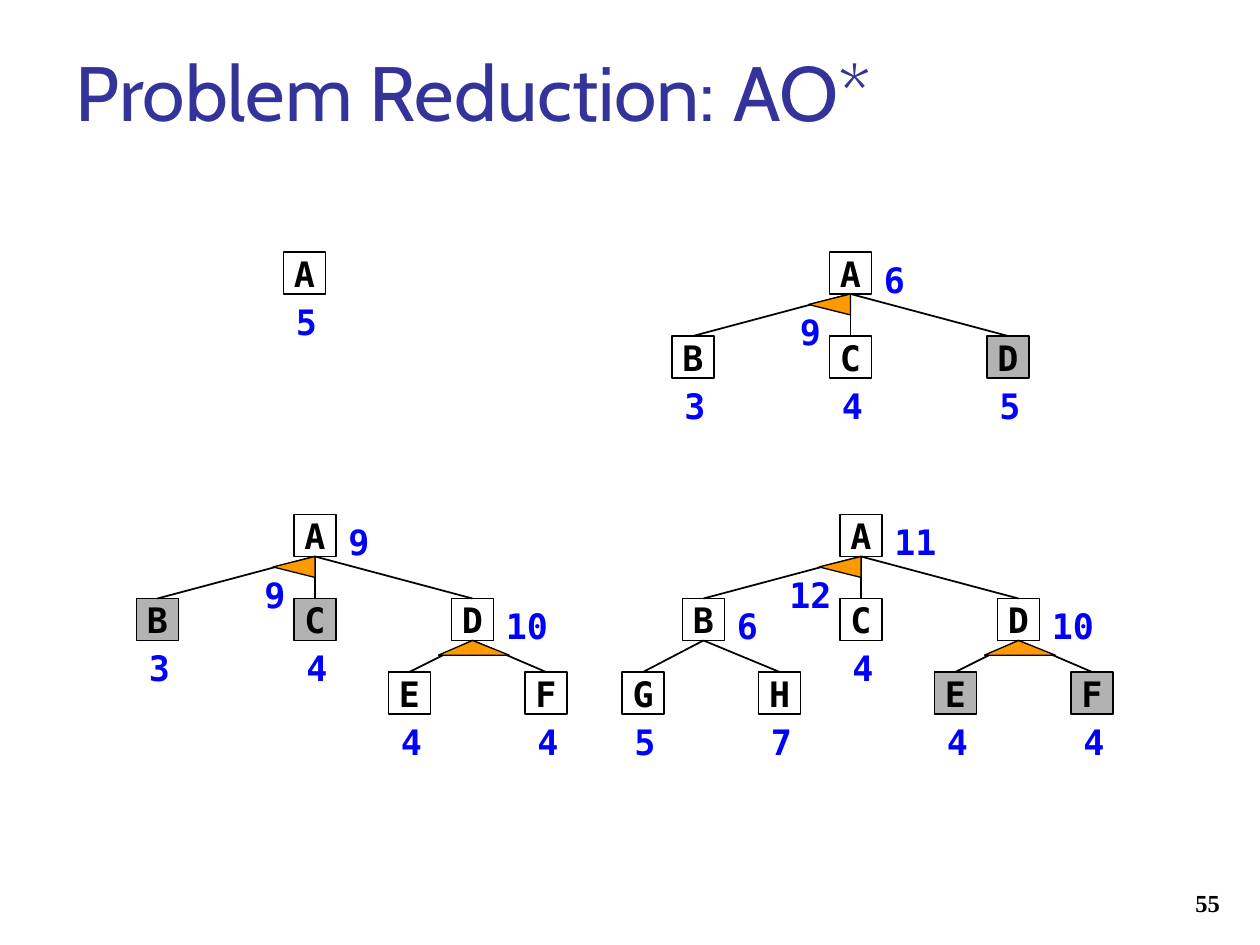
import pptx
import pptx.util
import pptx.dml.color
import pptx.enum.shapes
import pptx.enum.text
import pptx.oxml.ns
from lxml import etree

MONO = "DejaVu Sans Mono"
BLACK, BLUE, GRAY, ORANGE = "000000", "0000FF", "B2B2B2", "FF9900"
SIZE = 4  # side of a node; tree lengths are in twelfths of an inch

# Child offsets from the parent node, and arc corners from its bottom middle
OFFSETS = {"B": (-15, 8), "C": (0, 8), "D": (15, 8), "E": (-6, 7),
           "F": (7, 7), "G": (-5.75, 7), "H": (7.25, 7)}
ARCS = {"A": [(0, 0), (-4, 1), (0, 2)],
        "D": [(-3.25, 1.4), (3.5, 1.4), (0, 0)]}


def node(name, cost, *children, gray=False, arc=False, arc_cost=None):
    return dict(name=name, cost=cost, children=children, gray=gray,
                arc=arc, arc_cost=arc_cost)


TREES = [
    (27, 24, node("A", "5")),
    (79, 24, node("A", "6", node("B", "3"), node("C", "4"),
                  node("D", "5", gray=True), arc=True, arc_cost="9")),
    (28, 49, node("A", "9", node("B", "3", gray=True),
                  node("C", "4", gray=True),
                  node("D", "10", node("E", "4"), node("F", "4"), arc=True),
                  arc=True, arc_cost="9")),
    (80, 49, node("A", "11",
                  node("B", "6", node("G", "5"), node("H", "7")),
                  node("C", "4"),
                  node("D", "10", node("E", "4", gray=True),
                       node("F", "4", gray=True), arc=True),
                  arc=True, arc_cost="12")),
]


def color(value):
    return pptx.dml.color.RGBColor.from_string(value)


def units(n):
    return pptx.util.Inches(n / 12)


def style(tf, text, size, name, rgb, bold=True, align="LEFT", anchor="TOP"):
    tf.text = text
    tf.vertical_anchor = getattr(pptx.enum.text.MSO_ANCHOR, anchor)
    p = tf.paragraphs[0]
    p.alignment = getattr(pptx.enum.text.PP_ALIGN, align)
    font = p.runs[0].font
    font.size, font.name, font.bold = pptx.util.Pt(size), name, bold
    font.color.rgb = color(rgb)


def paint(sp, fill, width):
    sp.shadow.inherit = False
    if fill:
        sp.fill.solid()
        sp.fill.fore_color.rgb = color(fill)
    else:
        sp.fill.background()
    sp.line.color.rgb = color(BLACK)
    sp.line.width = pptx.util.Pt(width)


def cost_width(text):
    return 5 if len(text) == 1 else 7


def add_cost(s, text, x, y):
    box = s.shapes.add_textbox(units(x), units(y), units(cost_width(text)),
                               pptx.util.Inches(0.44))
    tf = box.text_frame
    tf.word_wrap = True
    tf.auto_size = pptx.enum.text.MSO_AUTO_SIZE.SHAPE_TO_FIT_TEXT
    style(tf, text, 20, MONO, BLUE)


def add_edge(s, parent, child):
    line = s.shapes.add_connector(
        pptx.enum.shapes.MSO_CONNECTOR.STRAIGHT, 0, 0, 0, 0)
    line.begin_connect(parent, 2)
    line.end_connect(child, 0)
    line.line.color.rgb = color(BLACK)
    line.line.width = pptx.util.Pt(1)
    etree.SubElement(line._element.spPr, pptx.oxml.ns.qn("a:effectLst"))


def add_arc(s, corners, x, y):
    points = [(units(x + dx), units(y + dy)) for dx, dy in corners]
    builder = s.shapes.build_freeform(*points[0])
    builder.add_line_segments(points[1:], close=True)
    paint(builder.convert_to_shape(), ORANGE, 0.75)


def add_tree(s, x, y, n):
    """Draw a node and everything below it; return the node's shape."""
    sp = s.shapes.add_shape(pptx.enum.shapes.MSO_SHAPE.RECTANGLE,
                            units(x), units(y), units(SIZE), units(SIZE))
    paint(sp, GRAY if n["gray"] else None, 1)
    sp.text_frame.word_wrap = False
    style(sp.text_frame, n["name"], 20, MONO, BLACK,
          align="CENTER", anchor="MIDDLE")
    for child in n["children"]:
        dx, dy = OFFSETS[child["name"]]
        add_edge(s, sp, add_tree(s, x + dx, y + dy, child))
    if n["arc"]:
        add_arc(s, ARCS[n["name"]], x + SIZE / 2, y + SIZE)
    if n["arc_cost"]:
        add_cost(s, n["arc_cost"], x + 1 - cost_width(n["arc_cost"]), y + 5)
    if n["children"]:
        add_cost(s, n["cost"], x + SIZE, y)
    else:
        add_cost(s, n["cost"], x, y + SIZE)
    return sp


def main():
    inches = pptx.util.Inches
    prs = pptx.Presentation()
    prs.slide_width, prs.slide_height = inches(10), inches(7.5)
    s = prs.slides.add_slide(prs.slide_layouts[5])

    title = s.shapes.title
    title.left, title.top = inches(0.5), inches(0.3)
    title.width, title.height = inches(9), inches(1.25)
    style(title.text_frame, "Problem Reduction: AO*", 44, "Cabin", "333399",
          bold=False)

    number = s.shapes.add_textbox(inches(7.7), inches(6.83),
                                  inches(2.08), inches(0.5))
    number.text_frame.word_wrap = True
    style(number.text_frame, "55", 14, "Times New Roman", BLACK,
          align="RIGHT", anchor="BOTTOM")

    for x, y, root in TREES:
        add_tree(s, x, y, root)
    prs.save("out.pptx")


if __name__ == "__main__":
    main()
